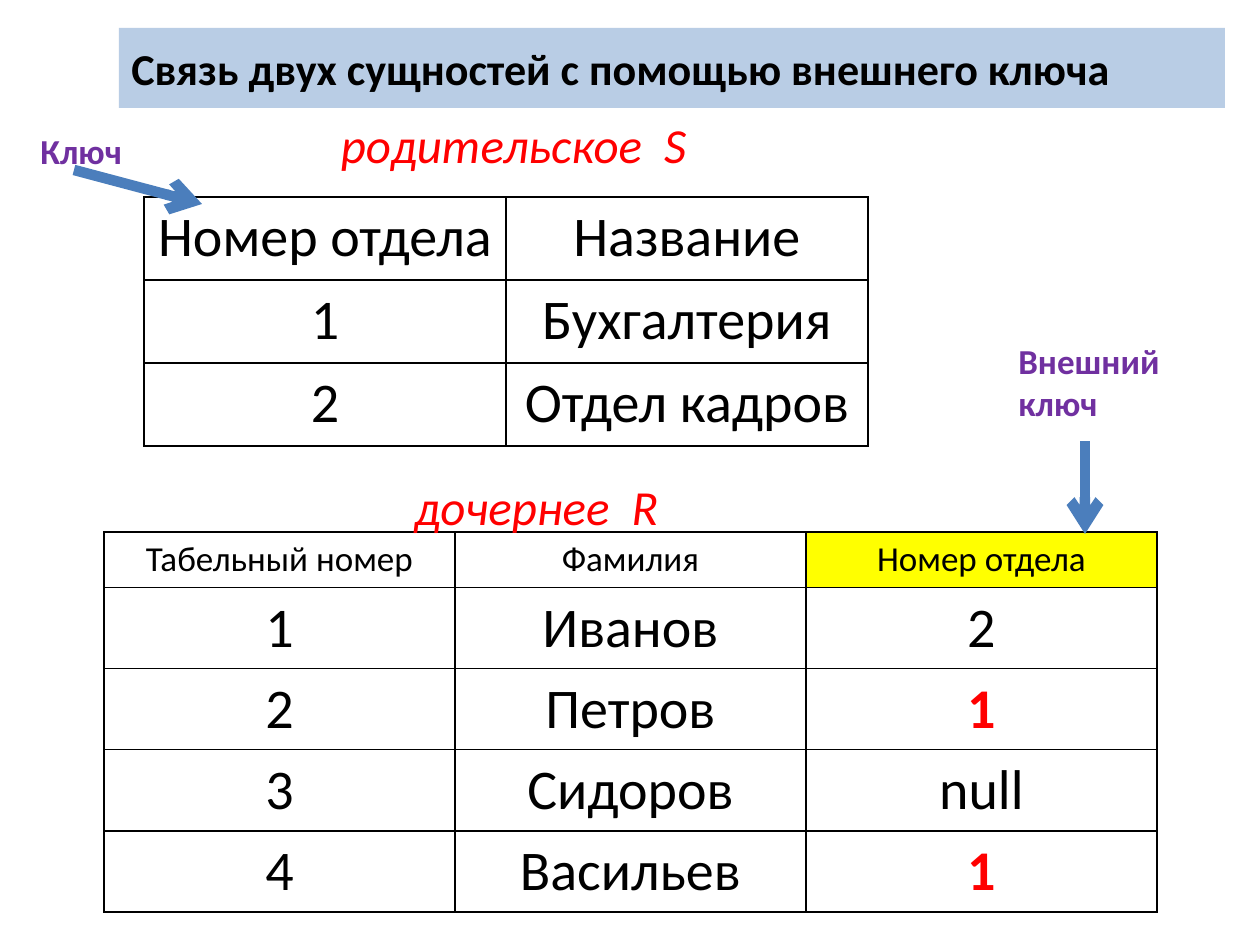
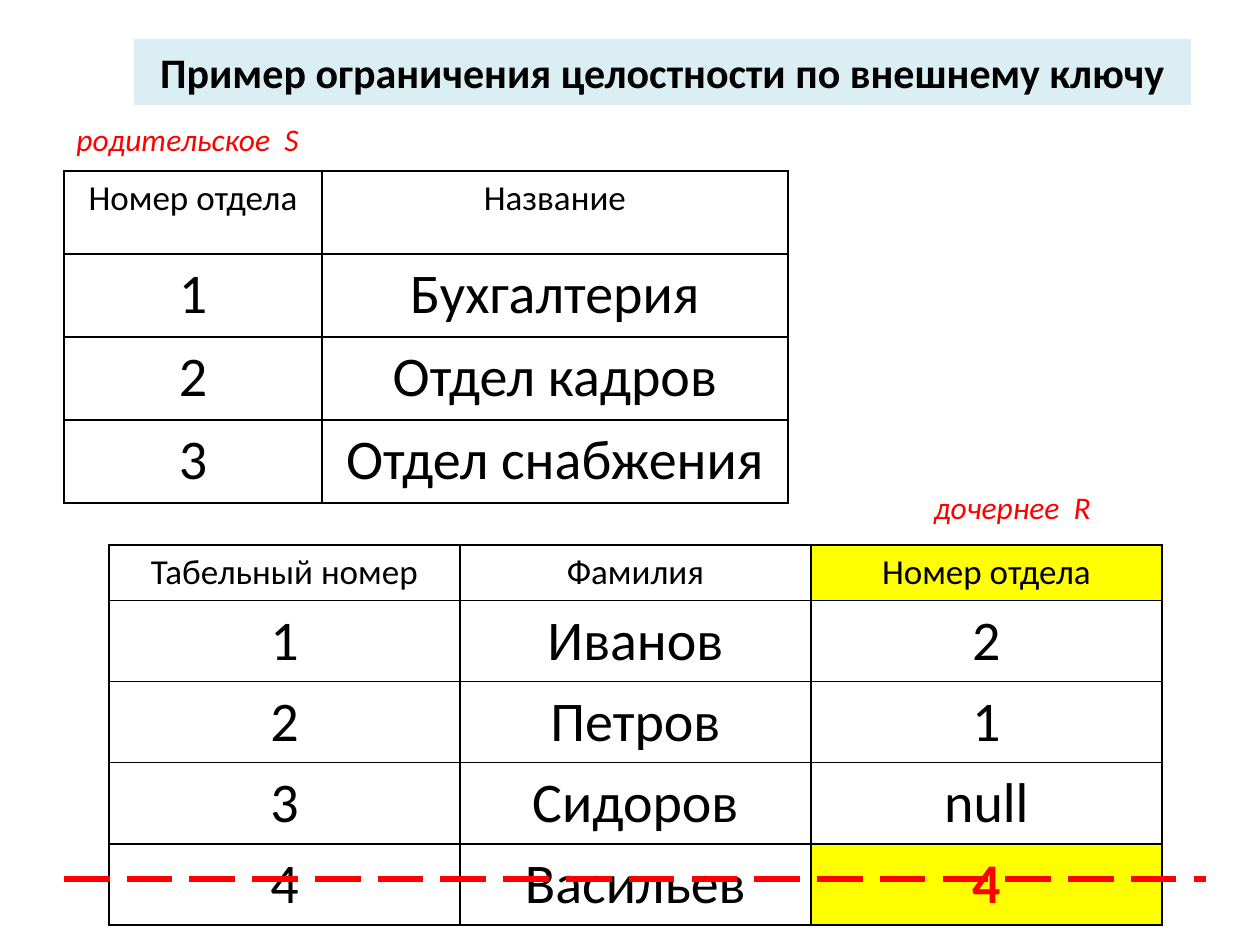
from lxml import etree
from pptx import Presentation
from pptx import util as u
from pptx.dml.color import RGBColor
from pptx.enum import dml, shapes, text
from pptx.oxml import parse_xml
from pptx.oxml.ns import nsdecls, qn

EMU_PER_PX = 914400 / 126
COLORS = {
    "black": "000000", "red": "FF0000", "yellow": "FFFF00", "purple": "7030A0",
    "arrow": "4B7EBC", "blue band": "B9CDE5", "pale band": "DBEEF4",
}
LEFT, CENTER = text.PP_ALIGN.LEFT, text.PP_ALIGN.CENTER
BORDER = (
    '<a:{side} {ns} w="12700"><a:solidFill><a:srgbClr val="{color}"/>'
    "</a:solidFill></a:{side}>"
)


def px(*lengths):
    """Turn pixel lengths into a list of EMU."""
    return [u.Emu(round(length * EMU_PER_PX)) for length in lengths]


def write(frame, words, align, color, size, **style):
    frame.word_wrap = True
    para = frame.paragraphs[0]
    para.alignment = align
    span = para.add_run()
    span.text = words
    span.font.color.rgb = RGBColor.from_string(COLORS[color])
    font_values = {"name": "Calibri", "size": u.Pt(size), "bold": False, **style}
    for name, value in font_values.items():
        setattr(span.font, name, value)


staff_header = ["Табельный номер", "Фамилия", "Номер отдела"]
staff_names = ["Иванов", "Петров", "Сидоров", "Васильев"]
departments = [["1", "Бухгалтерия"], ["2", "Отдел кадров"]]
department_header = ["Номер отдела", "Название"]
label = {"color": "red", "italic": True}
key_label = {"color": "purple", "size": 20, "bold": True, "align": LEFT}

# A table's "red" and "yellow" hold (row, column) pairs.
pages = [
    {
        "title": ("Связь двух сущностей с помощью внешнего ключа",
                  (119, 28, 1106, 80), "blue band", LEFT, 25.2),
        "departments": {"at": (144, 197), "columns": [362, 362], "header size": 32,
                        "rows": [department_header, *departments]},
        "staff": {"at": (104, 532), "keys": ["2", "1", "null", "1"],
                  "red": [(2, 2), (4, 2)], "yellow": [(0, 2)]},
        "labels": [
            ("Внешний ключ", (1006, 333, 199, 97), key_label),
            ("Ключ", (28, 123, 154, 55), key_label),
            ("дочернее  R", (343, 470, 387, 72), {**label, "size": 28, "align": CENTER}),
            ("родительское  S", (320, 108, 387, 72), {**label, "size": 28, "align": CENTER}),
        ],
        "lines": [((1085, 441, 1085, 534), "arrow", 6),
                  ((74, 170, 202, 204), "arrow", 6)],
    },
    {
        "title": ("Пример ограничения целостности по внешнему ключу",
                  (134, 39, 1057, 66), "pale band", CENTER, 24),
        "departments": {"at": (64, 171), "columns": [258, 466], "header size": 20,
                        "rows": [department_header, *departments, ["3", "Отдел снабжения"]]},
        "staff": {"at": (109, 545), "keys": ["2", "1", "null", "4"],
                  "red": [(4, 2)], "yellow": [(0, 2), (4, 2)]},
        "labels": [
            ("дочернее  R", (819, 482, 387, 50), {**label, "size": 18, "align": CENTER}),
            ("родительское  S", (64, 114, 387, 50), {**label, "size": 18, "align": LEFT}),
        ],
        "lines": [((64, 879, 1206, 879), "red", 3.25)],
    },
]

deck = Presentation()
deck.slide_width, deck.slide_height = px(1260, 945)

for page in pages:
    slide = deck.slides.add_slide(deck.slide_layouts[6])

    words, place, band_color, align, size = page["title"]
    band = slide.shapes.add_shape(shapes.MSO_SHAPE.RECTANGLE, *px(*place))
    band.shadow.inherit = False
    band.fill.solid()
    band.fill.fore_color.rgb = RGBColor.from_string(COLORS[band_color])
    band.line.fill.background()
    band.text_frame.vertical_anchor = text.MSO_ANCHOR.MIDDLE
    write(band.text_frame, words, align, "black", size, bold=True)

    parent = page["departments"]
    parent["heights"] = [83] * len(parent["rows"])
    staff = page["staff"]
    staff_rows = [[str(number), name, key] for number, (name, key)
                  in enumerate(zip(staff_names, staff["keys"]), start=1)]
    child = {**staff, "columns": [351] * 3, "heights": [49] + [69] * 4,
             "header size": 20, "rows": [staff_header, *staff_rows]}

    for grid in (parent, child):
        rows, widths, heights = grid["rows"], grid["columns"], grid["heights"]
        holder = slide.shapes.add_table(
            len(rows), len(widths), *px(*grid["at"], sum(widths), sum(heights)))
        table = holder.table
        table.first_row = table.horz_banding = False
        for column, width in zip(table.columns, px(*widths)):
            column.width = width
        for row, height in zip(table.rows, px(*heights)):
            row.height = height
        for row_index, row in enumerate(rows):
            for column_index, words in enumerate(row):
                spot = (row_index, column_index)
                cell = table.cell(*spot)
                for side in ("lnL", "lnR", "lnT", "lnB"):
                    cell._tc.get_or_add_tcPr().append(parse_xml(BORDER.format(
                        side=side, ns=nsdecls("a"), color=COLORS["black"])))
                if spot in grid.get("yellow", []):
                    cell.fill.solid()
                    cell.fill.fore_color.rgb = RGBColor.from_string(COLORS["yellow"])
                else:
                    cell.fill.background()
                is_red = spot in grid.get("red", [])
                write(cell.text_frame, words, CENTER, "red" if is_red else "black",
                      32 if row_index else grid["header size"], bold=is_red)

    for words, place, style in page["labels"]:
        box = slide.shapes.add_textbox(*px(*place))
        write(box.text_frame, words, **style)

    for ends, color, width in page["lines"]:
        line = slide.shapes.add_connector(shapes.MSO_CONNECTOR.STRAIGHT, *px(*ends))
        line.line.color.rgb = RGBColor.from_string(COLORS[color])
        line.line.width = u.Pt(width)
        if color == "arrow":
            etree.SubElement(line.line._get_or_add_ln(), qn("a:tailEnd"), type="arrow")
        else:
            line.line.dash_style = dml.MSO_LINE.LONG_DASH
        etree.SubElement(line._element.spPr, qn("a:effectLst"))

deck.save("out.pptx")
